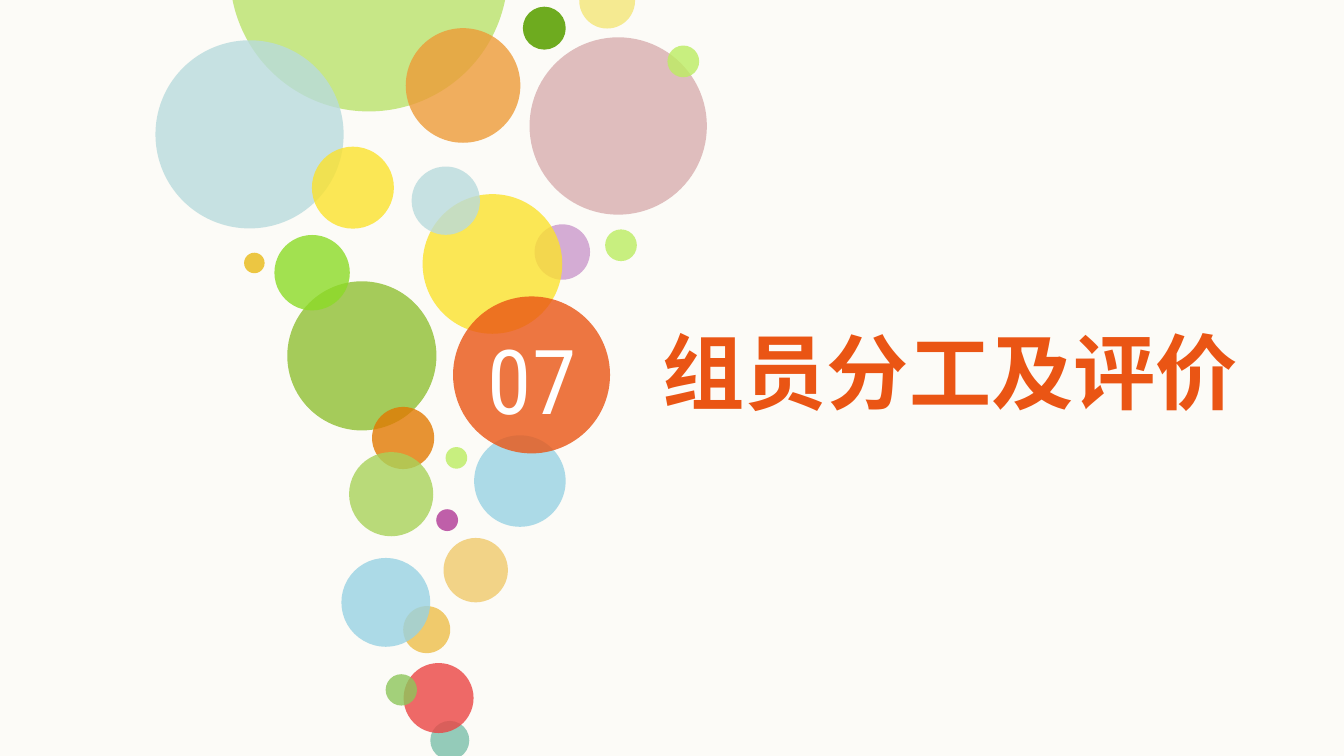
from lxml import etree
from pptx import Presentation
from pptx import util as u
from pptx.dml.color import RGBColor
from pptx.enum import shapes, text
from pptx.oxml import ns

CREAM = RGBColor(0xFC, 0xFB, 0xF7)
WHITE = RGBColor(0xFF, 0xFF, 0xFF)
ORANGE = RGBColor(0xEA, 0x55, 0x14)
LIME = RGBColor(0xBA, 0xE3, 0x6B)
FOREST = RGBColor(0x6E, 0xAB, 0x1F)
MIST = RGBColor(0xB9, 0xDB, 0xDD)
APRICOT = RGBColor(0xED, 0x9B, 0x38)
LEMON = RGBColor(0xF5, 0xEA, 0x91)
ROSE = RGBColor(0xD8, 0xAE, 0xAF)
OLIVE = RGBColor(0xA5, 0xCB, 0x5A)
SPROUT = RGBColor(0xBC, 0xED, 0x61)
LILAC = RGBColor(0xCB, 0x99, 0xCC)
YELLOW = RGBColor(0xFB, 0xE2, 0x2D)
GRASS = RGBColor(0x8C, 0xDB, 0x27)
GOLD = RGBColor(0xE9, 0xB9, 0x15)
MAGENTA = RGBColor(0xB0, 0x38, 0x96)
SAND = RGBColor(0xF0, 0xCA, 0x6C)
TEAL = RGBColor(0x7B, 0xBF, 0xAA)
RED = RGBColor(0xEB, 0x45, 0x44)
LEAF = RGBColor(0x8D, 0xC6, 0x5B)
SKY = RGBColor(0x98, 0xD2, 0xE3)
AMBER = RGBColor(0xE2, 0x79, 0x02)
PISTACHIO = RGBColor(0xA9, 0xD2, 0x5A)

SHEER = 80
SOLID = 100

BUBBLES = [
    (123.1, -89.3, 149, LIME, SHEER),
    (280.1, 3.6, 23, FOREST, SOLID),
    (83.3, 21.6, 100.8, MIST, SHEER),
    (217.4, 15.1, 61.4, APRICOT, SHEER),
    (310.3, -14.6, 29.9, LEMON, SOLID),
    (283.7, 20, 95, ROSE, SHEER),
    (153.9, 150.7, 79.9, OLIVE, SOLID),
    (357.6, 24.4, 17, SPROUT, SHEER),
    (324.2, 122.9, 17, SPROUT, SHEER),
    (286.4, 120.2, 29.7, LILAC, SHEER),
    (226.4, 104, 74.8, YELLOW, SHEER),
    (167.1, 78.6, 43.9, YELLOW, SHEER),
    (147, 125.9, 40.4, GRASS, SHEER),
    (130.8, 135.4, 11, GOLD, SHEER),
    (238.7, 239.5, 11.6, SPROUT, SHEER),
    (233.7, 272.8, 11.7, MAGENTA, SHEER),
    (237.6, 288.2, 34.5, SAND, SHEER),
    (216, 324.7, 25.2, SAND, SOLID),
    (230.5, 386.2, 20.9, TEAL, SHEER),
    (216.2, 355.2, 37.5, RED, SHEER),
    (206.6, 361.2, 16.8, LEAF, SHEER),
    (182.9, 298.9, 47.6, SKY, SHEER),
    (220.5, 89.2, 36.6, MIST, SHEER),
    (254, 233.2, 49, SKY, SHEER),
    (199.3, 218, 33.3, AMBER, SHEER),
    (187, 242.2, 45.1, PISTACHIO, SHEER),
    (242.7, 158.8, 84.1, ORANGE, SHEER),
]


class SectionSlide:
    number_font = "Roboto Condensed"
    title_font = "Noto Sans CJK SC"

    def __init__(self, deck):
        self.slide = deck.slides.add_slide(deck.slide_layouts[5])
        fill = self.slide.background.fill
        fill.solid()
        fill.fore_color.rgb = CREAM

    def bubble(self, left, top, diameter, color, opacity):
        circle = self.slide.shapes.add_shape(
            shapes.MSO_SHAPE.OVAL, u.Pt(left), u.Pt(top), u.Pt(diameter), u.Pt(diameter))
        circle.shadow.inherit = False
        circle.line.fill.background()
        circle.fill.solid()
        circle.fill.fore_color.rgb = color
        if opacity < SOLID:
            tint = circle.element.spPr.find(".//" + ns.qn("a:srgbClr"))
            etree.SubElement(tint, ns.qn("a:alpha"), val=str(opacity * 1000))

    def set_text(self, frame, words, font, size, color, align, bold=False):
        frame.word_wrap = True
        frame.auto_size = text.MSO_AUTO_SIZE.NONE
        frame.vertical_anchor = text.MSO_ANCHOR.TOP
        frame.margin_left = frame.margin_right = 0
        frame.margin_top = frame.margin_bottom = 0
        paragraph = frame.paragraphs[0]
        paragraph.alignment = align
        run = paragraph.add_run()
        run.text = words
        run.font.name = font
        run.font.size = u.Pt(size)
        run.font.bold = bold
        run.font.color.rgb = color
        etree.SubElement(run.font._element, ns.qn("a:ea"), typeface=font)

    def number(self, words, left, top, width, height):
        label = self.slide.shapes.add_textbox(
            u.Pt(left), u.Pt(top), u.Pt(width), u.Pt(height))
        self.set_text(label.text_frame, words, self.number_font, 48, WHITE,
                      text.PP_ALIGN.CENTER)

    def title(self, words, left, top, width, height):
        heading = self.slide.shapes.title
        heading.left, heading.top = u.Pt(left), u.Pt(top)
        heading.width, heading.height = u.Pt(width), u.Pt(height)
        self.set_text(heading.text_frame, words, self.title_font, 44, ORANGE,
                      text.PP_ALIGN.LEFT, bold=True)


def main():
    deck = Presentation()
    deck.slide_width, deck.slide_height = u.Pt(720), u.Pt(405)
    section = SectionSlide(deck)
    for bubble in BUBBLES:
        section.bubble(*bubble)
    section.number("07", 256.3, 174.2, 57.6, 58.3)
    section.title("组员分工及评价", 355, 172.1, 322.6, 53.3)
    deck.save("out.pptx")


if __name__ == "__main__":
    main()
